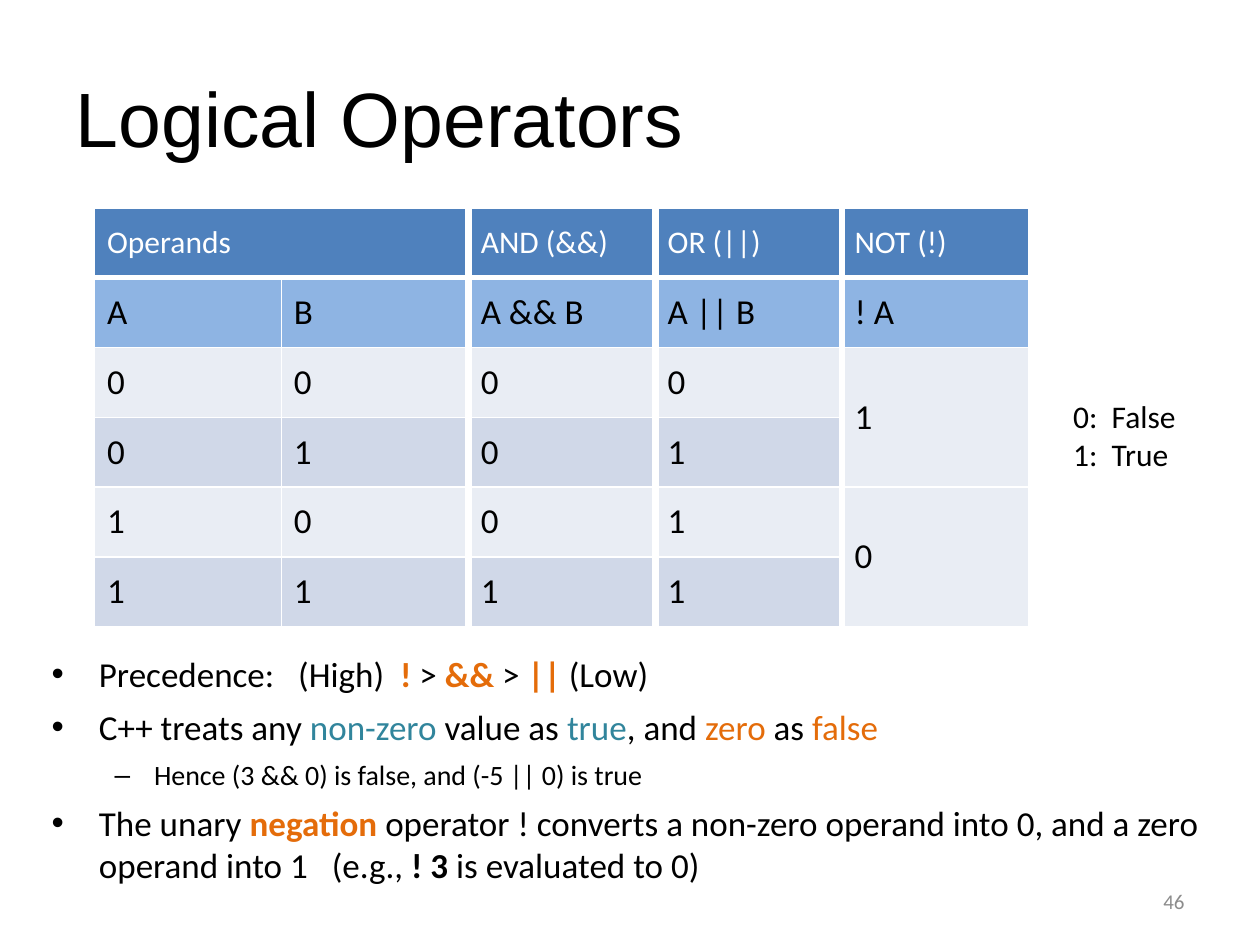
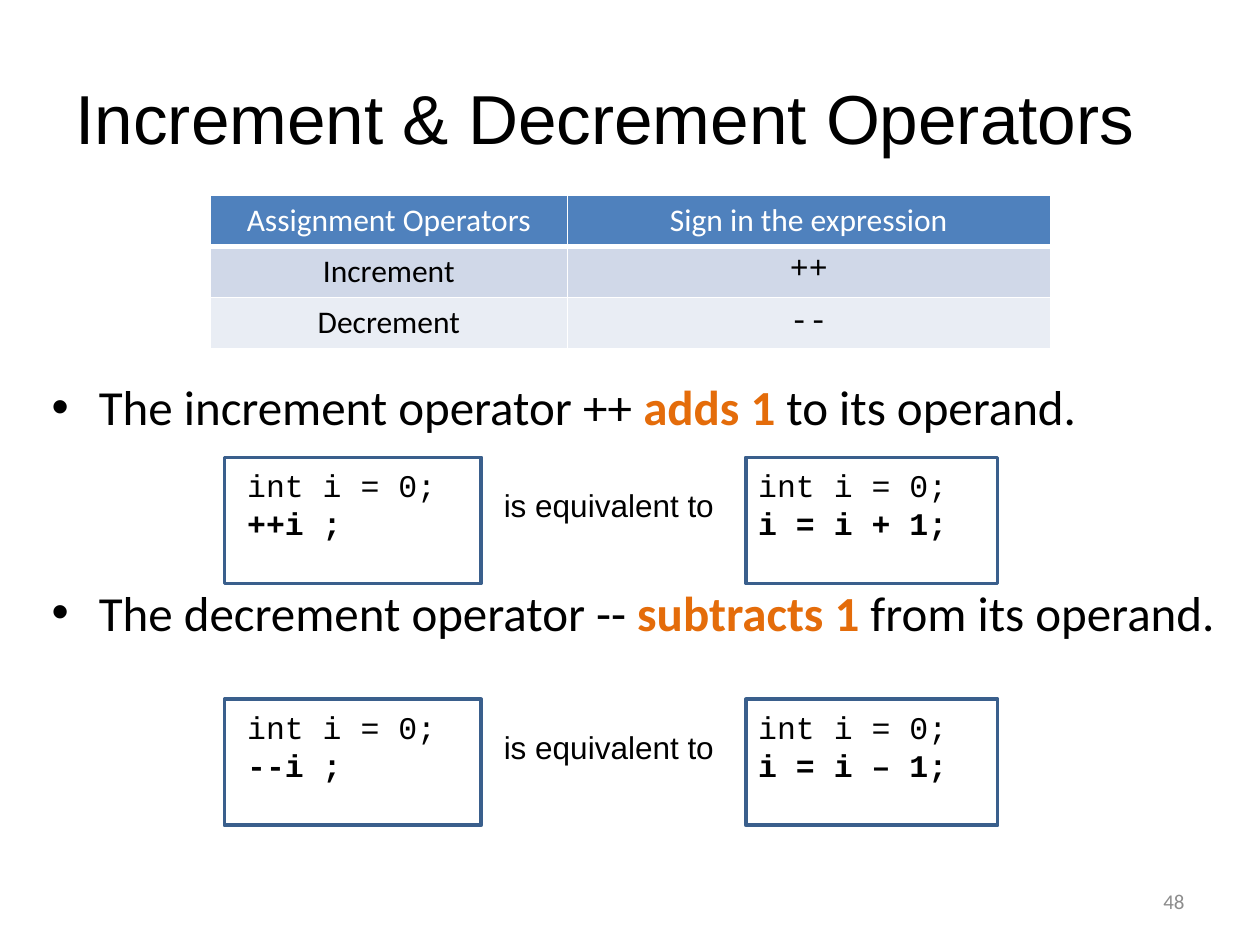
from pptx import Presentation
from pptx import util as u
from pptx.dml.color import RGBColor
from pptx.enum import shapes, text
from lxml import etree

Pt = u.Pt
A = "http://schemas.openxmlformats.org/drawingml/2006/main"
C = {"black": "000000", "white": "FFFFFF", "grey": "8C8C8C", "orange": "E46C0A",
     "teal": "31859C", "header": "4F81BD", "subheader": "8EB4E3",
     "light": "E9EDF4", "dark": "D0D8E8", "outline": "3A5F8C"}


def add_run(p, words, size, font="Calibri", color="black", bold=False, spread=0):
    """Add one run; spread is extra letter spacing in points."""
    r = p.add_run()
    r.text = words
    f = r.font
    f.size, f.name, f.bold = Pt(size), font, bold
    f.color.rgb = RGBColor.from_string(C[color])
    if spread:
        r._r.get_or_add_rPr().set("spc", str(int(spread * 100)))


def style_cell(cell, fill, left=1, right=1, top=1, bottom=1):
    """Give a cell white borders of the given widths, then its fill."""
    tc_pr = cell._tc.get_or_add_tcPr()
    for side, width in zip("LRTB", (left, right, top, bottom)):
        ln = etree.SubElement(tc_pr, f"{{{A}}}ln{side}", w=str(Pt(width)))
        solid = etree.SubElement(ln, f"{{{A}}}solidFill")
        etree.SubElement(solid, f"{{{A}}}srgbClr", val=C["white"])
    cell.fill.solid()
    cell.fill.fore_color.rgb = RGBColor.from_string(C[fill])


prs = Presentation()
prs.slide_width, prs.slide_height = Pt(720), Pt(540)

# Titles, lists and slide numbers
# Each list item: level, space before, runs of (words, formatting)
pages = [
    ("Logical Operators", 44, "46", (22.3, 369.4, 676, 149), [
        (0, 0, 20, [("Precedence:", {}), (" ", {"spread": 9}), ("(High)", {}),
                    (" ", {"spread": 4.5}), ("!", {"color": "orange", "bold": True}),
                    (" > ", {}), ("&&", {"color": "orange", "bold": True}),
                    (" > ", {}), ("||", {"color": "orange", "bold": True}),
                    (" (Low)", {})]),
        (0, 6, 20, [("C++ treats any ", {}), ("non-zero", {"color": "teal"}),
                    (" value as ", {}), ("true", {"color": "teal"}), (", and ", {}),
                    ("zero", {"color": "orange"}), (" as ", {}),
                    ("false", {"color": "orange"})]),
        (1, 6, 16, [("Hence (3 && 0) is false, and (-5 || 0) is true", {})]),
        (0, 6, 20, [("The unary ", {}), ("negation ", {"color": "orange", "bold": True}),
                    ("operator ! converts a non-zero operand into 0, "
                     "and a zero operand into 1", {}),
                    (" ", {"spread": 9}), ("(e.g., ", {}), ("! 3", {"bold": True}),
                    (" is evaluated to 0)", {})]),
    ]),
    ("Increment & Decrement Operators", 39.6, "48", (22.3, 211.7, 690.5, 219), [
        (0, 0, 28, [("The increment operator ++ ", {}),
                    ("adds 1", {"color": "orange", "bold": True}),
                    (" to its operand.", {})]),
        (0, 84, 28, [("The decrement operator -- ", {}),
                     ("subtracts 1", {"color": "orange", "bold": True}),
                     (" from its operand.", {})]),
    ]),
]
for title, title_size, number, box, items in pages:
    s = prs.slides.add_slide(prs.slide_layouts[1])
    sp = s.shapes.title
    sp.left, sp.top, sp.width, sp.height = Pt(36), Pt(21.6), Pt(648), Pt(90)
    tf = sp.text_frame
    tf.auto_size = text.MSO_AUTO_SIZE.NONE
    tf.vertical_anchor = text.MSO_ANCHOR.MIDDLE
    p = tf.paragraphs[0]
    p.alignment = text.PP_ALIGN.LEFT
    add_run(p, title, title_size, "Arial")

    sp = s.placeholders[1]
    sp.left, sp.top, sp.width, sp.height = map(Pt, box)
    tf = sp.text_frame
    tf.auto_size = text.MSO_AUTO_SIZE.NONE
    for i, (level, before, size, runs) in enumerate(items):
        p = tf.add_paragraph() if i else tf.paragraphs[0]
        p.level = level
        p.space_before = Pt(before)
        for words, look in runs:
            add_run(p, words, size, **look)

    tf = s.shapes.add_textbox(Pt(516), Pt(500.4), Pt(168), Pt(28.8)).text_frame
    tf.word_wrap = True
    tf.vertical_anchor = text.MSO_ANCHOR.MIDDLE
    p = tf.paragraphs[0]
    p.alignment = text.PP_ALIGN.RIGHT
    add_run(p, number, 12, color="grey")

logical, stepping = prs.slides

# Truth table
truth = [
    ["Operands", "", "AND (&&)", "OR (||)", "NOT (!)"],
    ["A", "B", "A && B", "A || B", "! A"],
    ["0", "0", "0", "0", "1"],
    ["0", "1", "0", "1", ""],
    ["1", "0", "0", "1", "0"],
    ["1", "1", "1", "1", ""],
]
row_fills = ["header", "subheader", "light", "dark", "light", "dark"]
table = logical.shapes.add_table(6, 5, Pt(54), Pt(118.8), Pt(534), Pt(239.4)).table
table.horz_banding = False
for row in table.rows:
    row.height = Pt(39.9)
for first, last in [((0, 0), (0, 1)), ((2, 4), (3, 4)), ((4, 4), (5, 4))]:
    table.cell(*first).merge(table.cell(*last))
for i, row in enumerate(truth):
    for j, words in enumerate(row):
        cell = table.cell(i, j)
        style_cell(cell, row_fills[i],
                   left=4.5 if j >= 2 else 1, right=4.5 if j in (1, 2, 3) else 1,
                   top=3 if i == 1 else 1, bottom=3 if i == 0 else 1)
        cell.vertical_anchor = text.MSO_ANCHOR.MIDDLE
        if words:
            add_run(cell.text_frame.paragraphs[0], words, 20 if i else 18,
                    color="black" if i else "white")

# Meaning of the truth values
tf = logical.shapes.add_textbox(Pt(606.2), Pt(223.2), Pt(74.2), Pt(51)).text_frame
tf.word_wrap = False
for i, meaning in enumerate(["False", "True"]):
    p = tf.add_paragraph() if i else tf.paragraphs[0]
    add_run(p, f"{i}:", 18)
    add_run(p, " ", 18, spread=4)
    add_run(p, meaning, 18)

# Operator table
operators = [("Assignment Operators", "Sign in the expression"),
             ("Increment", "++"), ("Decrement", "--")]
table = stepping.shapes.add_table(3, 2, Pt(120.2), Pt(111.6), Pt(480), Pt(87.6)).table
table.horz_banding = False
table.columns[0].width, table.columns[1].width = Pt(204), Pt(276)
for i, row in enumerate(operators):
    table.rows[i].height = Pt(29.2)
    for j, words in enumerate(row):
        cell = table.cell(i, j)
        style_cell(cell, ["header", "dark", "light"][i],
                   top=3 if i == 1 else 1, bottom=3 if i == 0 else 1)
        p = cell.text_frame.paragraphs[0]
        p.alignment = text.PP_ALIGN.CENTER
        add_run(p, words, 18, "Courier New" if i and j else "Calibri",
                "black" if i else "white")

# Equivalent code pairs
for top, short, full in [(261.4, "++i ;", "i = i + 1;"), (399.6, "--i ;", "i = i – 1;")]:
    for left, width, inset, code in [(128.2, 146.8, 13, short), (426.2, 144, 7.2, full)]:
        sp = stepping.shapes.add_shape(shapes.MSO_SHAPE.RECTANGLE,
                                       Pt(left), Pt(top), Pt(width), Pt(72))
        sp.shadow.inherit = False
        sp.fill.background()
        sp.line.color.rgb = RGBColor.from_string(C["outline"])
        sp.line.width = Pt(2)
        tf = sp.text_frame
        tf.vertical_anchor = text.MSO_ANCHOR.TOP
        tf.margin_left, tf.margin_top = Pt(inset), Pt(5)
        for i, line in enumerate(["int i = 0;", code]):
            p = tf.add_paragraph() if i else tf.paragraphs[0]
            p.alignment = text.PP_ALIGN.LEFT
            add_run(p, line, 18, "Courier New", bold=i == 1)
    tf = stepping.shapes.add_textbox(Pt(280.8), Pt(top + 13), Pt(139.7), Pt(29)).text_frame
    tf.word_wrap = False
    add_run(tf.paragraphs[0], "is equivalent to", 18, "Arial")

prs.save("out.pptx")
